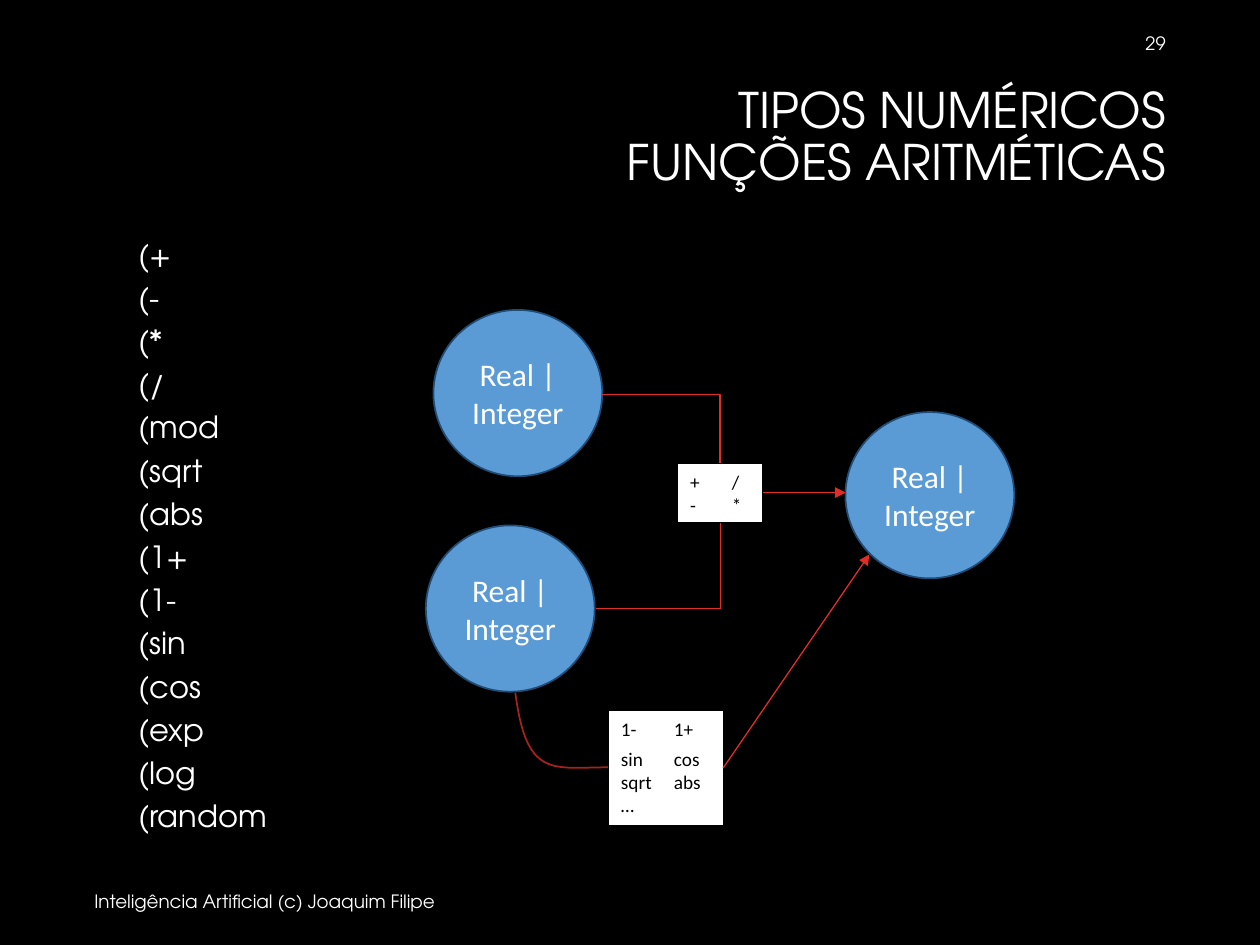
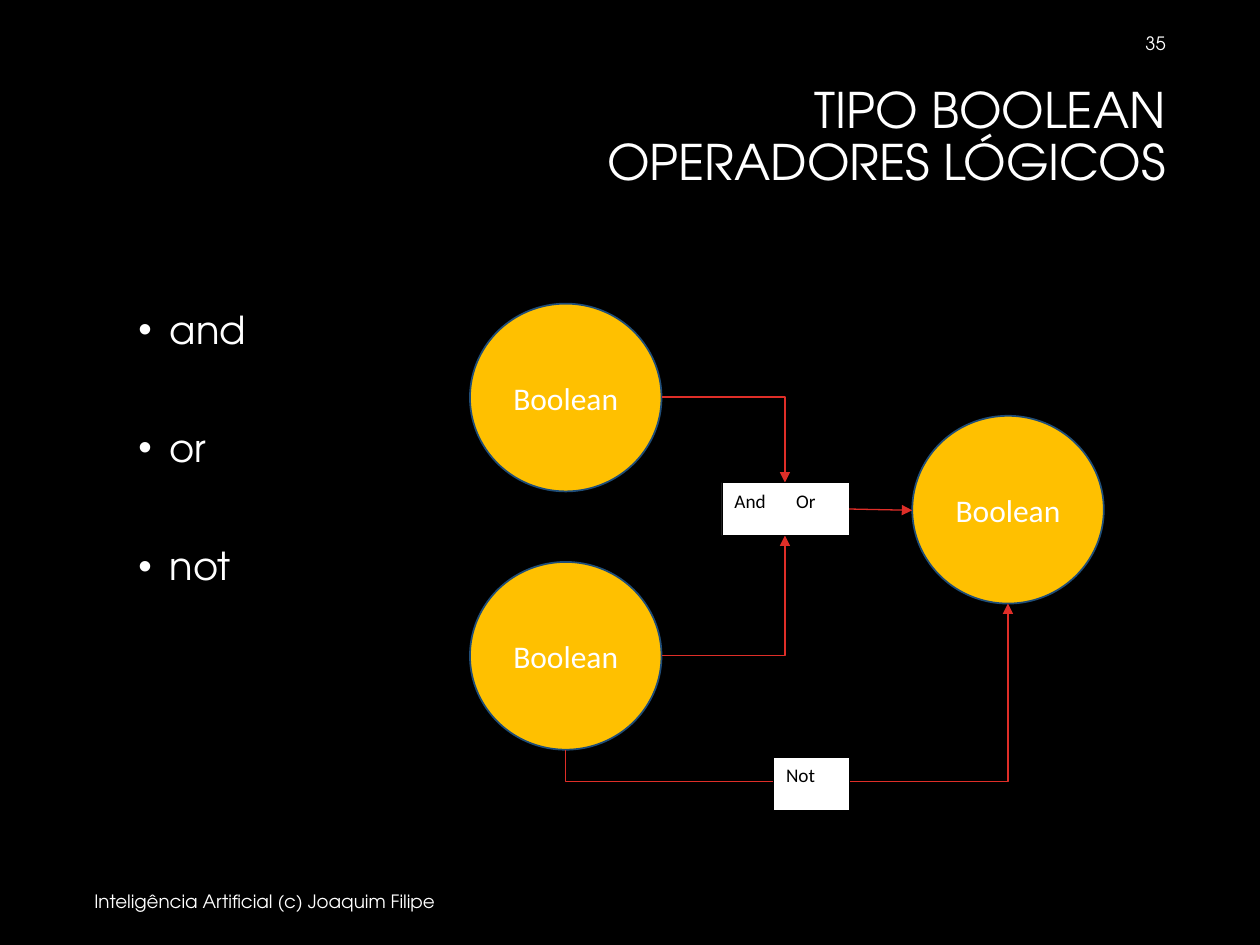
from lxml.etree import SubElement
from pptx import Presentation
from pptx.dml.color import RGBColor
from pptx.enum.shapes import MSO_CONNECTOR, MSO_SHAPE
from pptx.enum.text import MSO_ANCHOR, MSO_AUTO_SIZE, PP_ALIGN
from pptx.oxml.ns import qn
from pptx.util import Inches, Pt

COLORS = {
    "background": "000000", "text": "FFFFFF", "box": "FFFFFF", "box_text": "000000",
    "number": "5B9BD5", "boolean": "FFC000", "circle_line": "1F4D78",
    "arrow": "DF2E28", "curve": "A5221E",
}
RGB = {name: RGBColor.from_string(code) for name, code in COLORS.items()}
HEADING_FONT, DIAGRAM_FONT = "TeX Gyre Adventor", "Calibri"
FOOTER = "Inteligência Artificial (c) Joaquim Filipe"


def write(shape, lines, font, paragraph_format=None, anchor=MSO_ANCHOR.TOP):
    """Fill a shape with one paragraph per line and return the paragraphs."""
    frame = shape.text_frame
    frame.text = "\n".join(lines)
    for key, value in {"word_wrap": True, "auto_size": MSO_AUTO_SIZE.NONE,
                       "vertical_anchor": anchor}.items():
        setattr(frame, key, value)
    name, size, color = font
    for paragraph in frame.paragraphs:
        for key, value in (paragraph_format or {}).items():
            setattr(paragraph, key, value)
        for run in paragraph.runs:
            for key, value in {"name": name, "size": Pt(size)}.items():
                setattr(run.font, key, value)
            run.font.color.rgb = RGB[color]
    return frame.paragraphs


def link(slide, kind, begin, end, arrow=True):
    """Draw a red connector between two points given in inches."""
    connector = slide.shapes.add_connector(kind, *map(Inches, begin + end))
    connector.line.color.rgb = RGB["arrow"]
    connector.line.width = Pt(0.75)
    properties = connector._element.spPr
    if arrow:
        SubElement(properties.find(qn("a:ln")), qn("a:tailEnd"), type="triangle")
    SubElement(properties, qn("a:effectLst"))
    return connector


# Elbows: begin, end, bends, position of the middle bend, arrowhead
# Boxes: place, lines, tab stop; exits: box index, end point
topics = [
    {
        "number": "29",
        "title": "TIPOS NUMÉRICOS\vFUNÇÕES ARITMÉTICAS",
        "functions": ["(+", "(-", "(*", "(/", "(mod", "(sqrt", "(abs", "(1+", "(1-",
                      "(sin", "(cos", "(exp", "(log", "(random"],
        "list_place": (1, 1.9, 8.5, 5), "list_size": 17.5, "line_spacing": 0.7,
        "bullet": None,
        "type": "Real | Integer", "fill": "number", "circle_size": (1.34, 1.32),
        "circles": [(3.44, 2.46), (6.71, 3.27), (3.38, 4.17)],
        "elbows": [((4.78, 3.13), (6.71, 3.91), 2, 0.485, True),
                   ((4.73, 4.83), (6.71, 3.91), 2, 0.5, True)],
        "boxes": [((5.38, 3.68, 0.67, 0.47), ["+\t/", "-\t*"], 0.33),
                  ((4.83, 5.64, 0.91, 0.91),
                   ["1-\t1+", "sin\tcos", "sqrt\tabs", "…"], 0.42)],
        "exits": [(1, (6.9, 4.4))],
    },
    {
        "number": "35",
        "title": "TIPO BOOLEAN\vOPERADORES LÓGICOS",
        "functions": ["and", "or", "not"],
        "list_place": (1, 2.42, 8.5, 4.53), "list_size": 22, "line_spacing": 0.9,
        "bullet": "•",
        "type": "Boolean", "fill": "boolean", "circle_size": (1.52, 1.49),
        "circles": [(3.73, 2.41), (7.24, 3.3), (3.73, 4.46)],
        "elbows": [((5.25, 3.15), (6.23, 3.83), 1, None, True),
                   ((5.25, 5.2), (6.23, 4.25), 1, None, True),
                   ((6.14, 6.2), (4.49, 5.95), 1, None, False),
                   ((6.74, 6.2), (8, 4.79), 1, None, True)],
        "boxes": [((5.73, 3.83, 1.01, 0.42), ["And\tOr"], 0.49),
                  ((6.14, 6.01, 0.6, 0.42), ["Not"], 0.49)],
        "exits": [(0, (7.24, 4.05))],
    },
]

prs = Presentation()
prs.slide_width, prs.slide_height = Inches(10), Inches(7.5)
slides, box_texts, lists = [], [], []

for topic in topics:
    slide = prs.slides.add_slide(prs.slide_layouts[5])
    slides.append(slide)
    slide.background.fill.solid()
    slide.background.fill.fore_color.rgb = RGB["background"]

    title = slide.shapes.title
    for key, value in zip(("left", "top", "width", "height"), (1.85, 0.63, 7.5, 1)):
        setattr(title, key, Inches(value))
    write(title, [topic["title"]], (HEADING_FONT, 28, "text"),
          {"alignment": PP_ALIGN.RIGHT, "line_spacing": 0.9})

    for place, text, align in [((0.65, 6.95, 6.21, 0.4), FOOTER, PP_ALIGN.LEFT),
                               ((7.19, 0.14, 2.16, 0.4), topic["number"], PP_ALIGN.RIGHT)]:
        write(slide.shapes.add_textbox(*map(Inches, place)), [text],
              (HEADING_FONT, 10.5, "text"), {"alignment": align}, MSO_ANCHOR.MIDDLE)

    functions = slide.shapes.add_textbox(*map(Inches, topic["list_place"]))
    entries = write(functions, topic["functions"], (HEADING_FONT, topic["list_size"], "text"),
                    {"line_spacing": topic["line_spacing"], "space_before": Pt(10)})
    lists.append(entries)
    if topic["bullet"]:
        for entry in entries:
            properties = entry._p.get_or_add_pPr()
            properties.set("marL", str(Inches(0.25)))
            properties.set("indent", str(-Inches(0.25)))
            SubElement(properties, qn("a:buFont"), typeface="Arial")
            SubElement(properties, qn("a:buChar"), char=topic["bullet"])

    for corner in topic["circles"]:
        circle = slide.shapes.add_shape(MSO_SHAPE.OVAL,
                                        *map(Inches, corner + topic["circle_size"]))
        circle.shadow.inherit = False
        circle.fill.solid()
        circle.fill.fore_color.rgb = RGB[topic["fill"]]
        circle.line.color.rgb = RGB["circle_line"]
        circle.line.width = Pt(1)
        write(circle, [topic["type"]], (DIAGRAM_FONT, 18, "text"),
              {"alignment": PP_ALIGN.CENTER}, MSO_ANCHOR.MIDDLE)

    if topic["fill"] == "number":
        # Cubic curve from the lower circle to the box of one-argument functions
        curve_start = (4.09, 5.5)
        segments = [((4.12, 5.71), (4.16, 5.92), (4.28, 6.02)),
                    ((4.4, 6.12), (4.58, 6.09), (4.82, 6.09)),
                    ((5.07, 6.09), (5.4, 6.06), (5.73, 6.03))]
        steps, points, start = 10, [], curve_start
        for segment in segments:
            for t in (step / steps for step in range(1, steps + 1)):
                weights = ((1 - t) ** 3, 3 * t * (1 - t) ** 2, 3 * t * t * (1 - t), t ** 3)
                points.append(tuple(Inches(sum(w * v for w, v in zip(weights, values)))
                                    for values in zip(start, *segment)))
            start = segment[-1]
        builder = slide.shapes.build_freeform(*map(Inches, curve_start))
        builder.add_line_segments(points, close=False)
        curve = builder.convert_to_shape()
        curve.shadow.inherit = False
        curve.fill.background()
        curve.line.color.rgb = RGB["curve"]
        curve.line.width = Pt(1)

    for begin, end, bends, middle, arrow in topic["elbows"]:
        elbow = link(slide, MSO_CONNECTOR.ELBOW, begin, end, arrow)
        geometry = elbow._element.spPr.find(qn("a:prstGeom"))
        geometry.set("prst", f"bentConnector{bends + 1}")
        if middle:
            SubElement(geometry.find(qn("a:avLst")), qn("a:gd"), name="adj1",
                       fmla=f"val {round(middle * 100000)}")

    boxes = []
    for place, lines, tab_stop in topic["boxes"]:
        box = slide.shapes.add_shape(MSO_SHAPE.RECTANGLE, *map(Inches, place))
        boxes.append(box)
        box.shadow.inherit = False
        box.fill.solid()
        box.fill.fore_color.rgb = RGB["box"]
        box.line.color.rgb = RGB["box_text"]
        box.line.width = Pt(0.5)
        operators = write(box, lines, (DIAGRAM_FONT, 11, "box_text"),
                          {"alignment": PP_ALIGN.LEFT})
        box_texts.append(operators)
        for operator in operators:
            tabs = SubElement(operator._p.get_or_add_pPr(), qn("a:tabLst"))
            SubElement(tabs, qn("a:tab"), pos=str(Inches(tab_stop)), algn="l")

    for index, end in topic["exits"]:
        left, top, width, height = topic["boxes"][index][0]
        exit_arrow = link(slide, MSO_CONNECTOR.STRAIGHT, (left + width, top + height / 2), end)
        exit_arrow.begin_connect(boxes[index], 3)

# Wider gaps between the logical operators and below the 1- / 1+ row
for entry in lists[1][1:]:
    entry.space_before = Pt(43.7)
box_texts[1][0].space_after = Pt(4.3)

prs.save("out.pptx")
